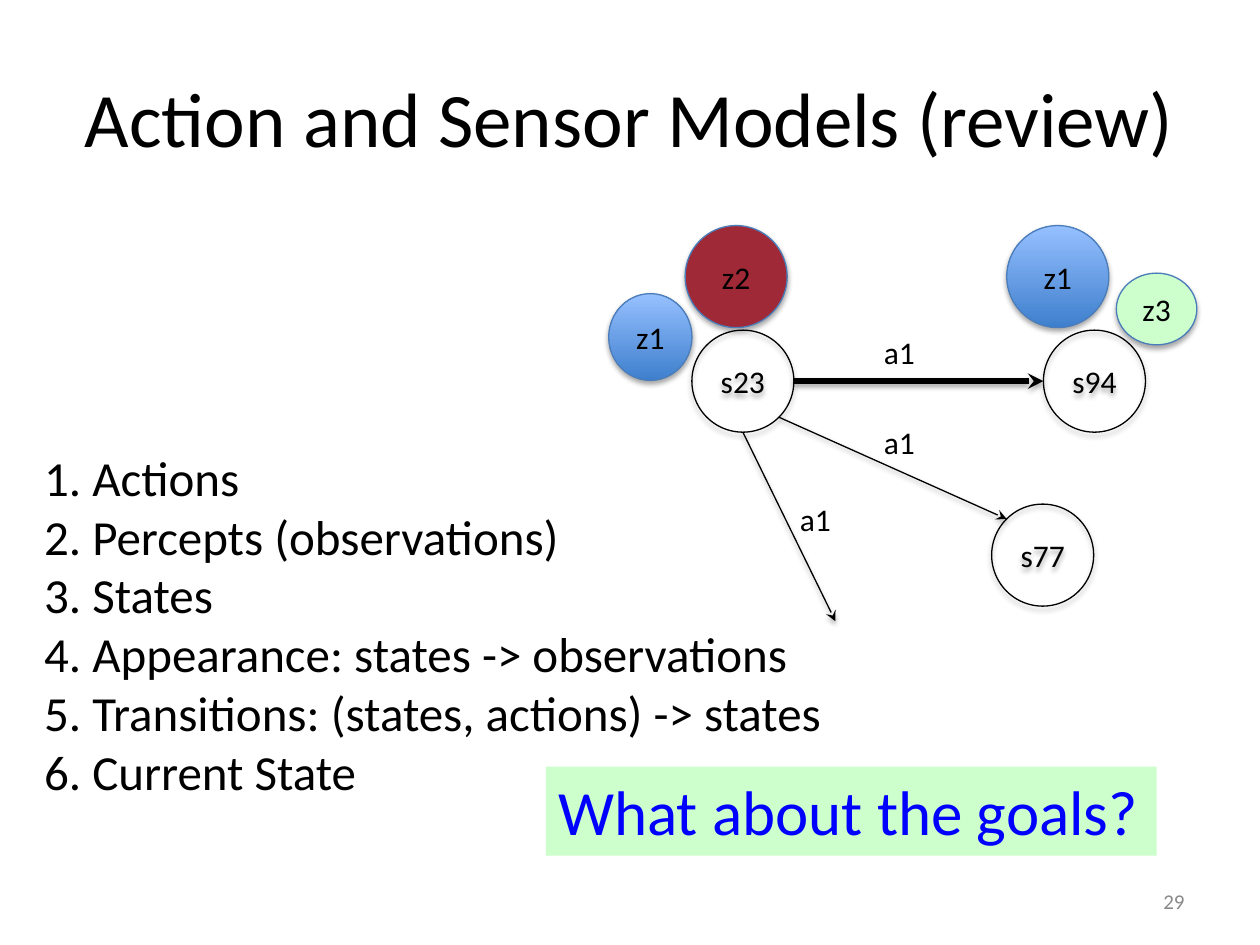
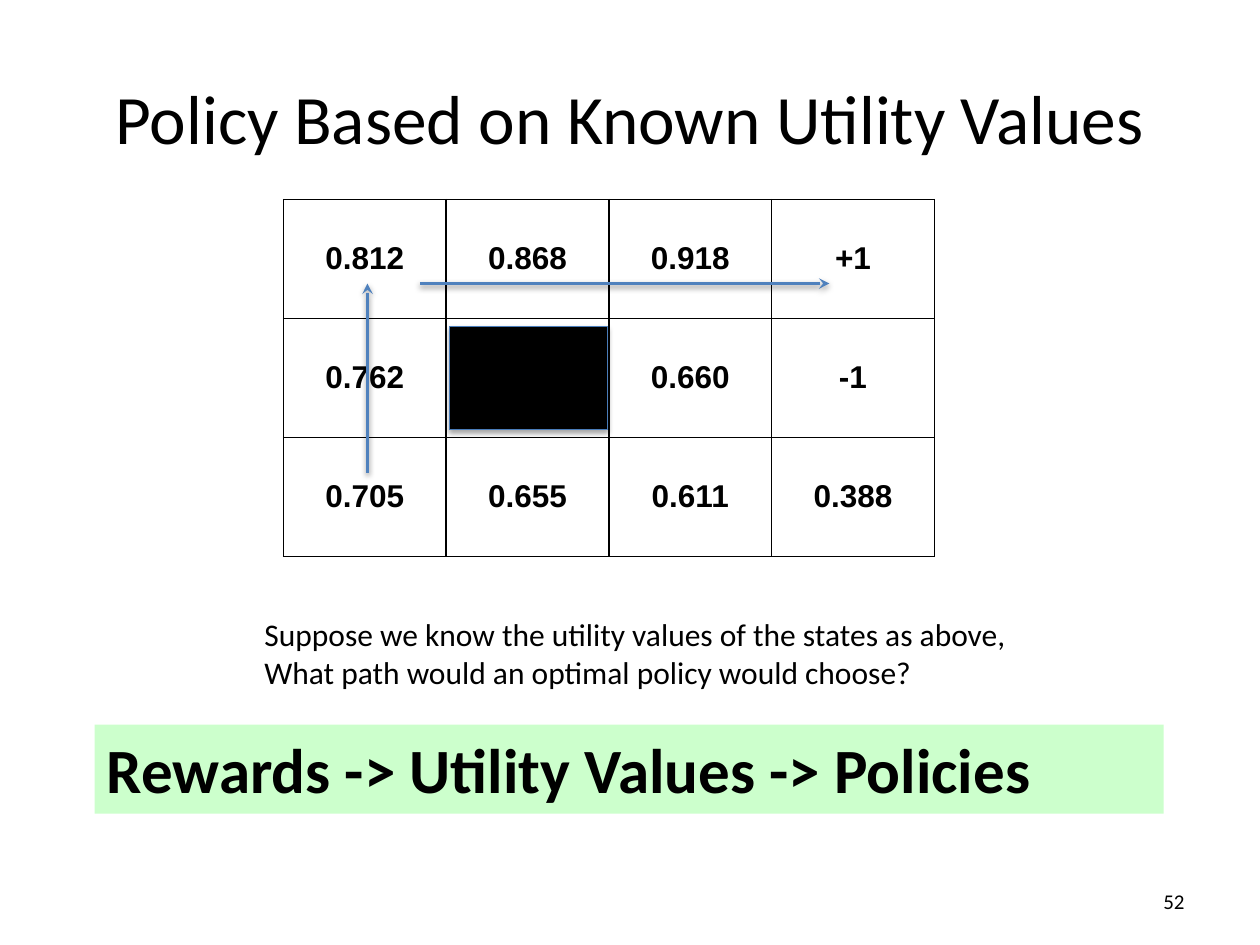
from math import cos, radians, sin

from lxml import etree
from pptx import Presentation
from pptx.dml.color import RGBColor
from pptx.enum import shapes as es, text as et
from pptx.oxml import ns
from pptx.util import Pt

# Shared look
BLACK = RGBColor(0, 0, 0)
WHITE = RGBColor(255, 255, 255)
GRAY = RGBColor(0x88, 0x88, 0x88)
BLUE = RGBColor(0, 0, 255)
MINT = RGBColor(0xCC, 0xFF, 0xCC)
RED = RGBColor(0x9F, 0x29, 0x36)
EDGE = RGBColor(0x4A, 0x7D, 0xBA)
ARROW = RGBColor(0x4F, 0x81, 0xBD)
SKY = (RGBColor(0x3E, 0x7F, 0xCD), RGBColor(0x96, 0xC0, 0xFF))
FONT = "Calibri"
LEFT, CENTER, RIGHT = et.PP_ALIGN.LEFT, et.PP_ALIGN.CENTER, et.PP_ALIGN.RIGHT
TOP, MIDDLE = et.MSO_ANCHOR.TOP, et.MSO_ANCHOR.MIDDLE
OVAL, RECT = es.MSO_SHAPE.OVAL, es.MSO_SHAPE.RECTANGLE
BAND = 51  # height of a highlight band

# Slide 1: state graph, centres of equal circles
SIZE = 58.3
STATES = {"s23": (424.5, 217.8), "s94": (625.4, 217.8), "s77": (595.8, 317.2)}
SIGHTS = [  # text, left, top, width, height, fill
    ("z1", 347.8, 167.8, 47.6, 49.6, SKY),
    ("z1", 575.3, 128.9, SIZE, SIZE, SKY),
    ("z2", 391.5, 128.9, SIZE, SIZE, RED),
    ("z3", 637.9, 156.1, 46, 41, MINT),
]
MOVES = [  # from state, angle, to state or point, angle, width
    ("s23", 0, "s94", 180, 3),
    ("s23", 45, "s77", 225, 0.75),
    ("s23", 90, (477.4, 355), None, 0.75),
]
LABELS = [(498, 187), (498, 238), (450, 282)]
PARTS = [
    "1. Actions",
    "2. Percepts (observations)",
    "3. States",
    "4. Appearance: states -> observations",
    "5. Transitions: (states, actions) -> states",
    "6. Current State",
]

# Slide 2: utility grid
GRID = [
    ["0.812", "0.868", "0.918", "+1"],
    ["0.762", "", "0.660", "-1"],
    ["0.705", "0.655", "0.611", "0.388"],
]
CELL_W, CELL_H = 93, 68
PATH = [((210, 270), (210, 162)), ((240, 162), (474, 162))]
ASK = [
    "Suppose we know the utility values of the states as above,",
    "What path would an optimal policy would choose?",
]


def pts(*nums):
    return [Pt(n) for n in nums]


def add(parent, tag, **attrs):
    return etree.SubElement(parent, ns.qn(tag), {k: str(v) for k, v in attrs.items()})


def style(para, size, color=BLACK, align=LEFT, bold=False, name=FONT):
    para.alignment = align
    font = para.font
    font.name, font.size, font.bold = name, Pt(size), bold
    font.color.rgb = color


def write(shape, lines, size, color=BLACK, align=LEFT, anchor=TOP, bold=False):
    frame = shape.text_frame
    frame.word_wrap = True
    frame.auto_size = et.MSO_AUTO_SIZE.NONE
    frame.vertical_anchor = anchor
    frame.text = "\n".join(lines)
    for para in frame.paragraphs:
        style(para, size, color, align, bold)


def place(shape, *box):
    shape.left, shape.top, shape.width, shape.height = pts(*box)


def note(slide, box, lines, size, color=BLACK, fill=None, **look):
    shape = slide.shapes.add_textbox(*pts(*box))
    write(shape, lines, size, color, **look)
    if fill is not None:
        shape.fill.solid()
        shape.fill.fore_color.rgb = fill


def cast(shape, dist, alpha):
    """Soft shadow straight below the shape."""
    fx = add(shape._element.spPr, "a:effectLst")
    drop = add(fx, "a:outerShdw", blurRad=Pt(3.1), dist=Pt(dist),
               dir=5400000, rotWithShape=0)
    add(add(drop, "a:srgbClr", val=BLACK), "a:alpha", val=alpha * 1000)


def block(slide, kind, box, fill=None, edge=EDGE):
    shape = slide.shapes.add_shape(kind, *pts(*box))
    if fill is None:
        shape.fill.background()
    elif fill is SKY:
        shape.fill.gradient()
        shape.fill.gradient_angle = 90
        for stop, color in zip(shape.fill.gradient_stops, SKY):
            stop.color.rgb = color
    else:
        shape.fill.solid()
        shape.fill.fore_color.rgb = fill
    shape.line.color.rgb = edge
    shape.line.width = Pt(0.75)
    cast(shape, 1.8, 35)
    return shape


def arrow(slide, start, end, color, width):
    line = slide.shapes.add_connector(es.MSO_CONNECTOR.STRAIGHT, *pts(*start, *end))
    line.line.color.rgb = color
    line.line.width = Pt(width)
    add(line.line._get_or_add_ln(), "a:tailEnd", type="stealth")
    cast(line, 1.6, 37)


def rim(state, angle):
    x, y = STATES[state]
    turn = radians(angle)
    return x + SIZE / 2 * cos(turn), y + SIZE / 2 * sin(turn)


def start(deck, layout, title, size, page, shade):
    slide = deck.slides.add_slide(deck.slide_layouts[layout])
    place(slide.shapes.title, 36, 21.6, 648, 90)
    write(slide.shapes.title, [title], size, align=CENTER, anchor=MIDDLE)
    note(slide, (516, 500.5, 168, 28.8), [page], 12, shade, align=RIGHT, anchor=MIDDLE)
    return slide


def models(deck):
    slide = start(deck, 1, "Action and Sensor Models (review)", 44, "29", GRAY)
    # States, sights and moves
    for name, (x, y) in STATES.items():
        box = (x - SIZE / 2, y - SIZE / 2, SIZE, SIZE)
        write(block(slide, OVAL, box, edge=BLACK), [name], 18, align=CENTER, anchor=MIDDLE)
    for name, *box, fill in SIGHTS:
        write(block(slide, OVAL, box, fill), [name], 18, align=CENTER, anchor=MIDDLE)
    for state, out, goal, into, width in MOVES:
        end = goal if into is None else rim(goal, into)
        arrow(slide, rim(state, out), end, BLACK, width)
    for x, y in LABELS:
        note(slide, (x, y, 36, 29), ["a1"], 18)
    # Model parts
    body = slide.placeholders[1]
    place(body, 18, 252, 503, 212)
    body.text_frame.text = "\n".join(PARTS)
    for para in body.text_frame.paragraphs:
        props = para._p.get_or_add_pPr()
        props.set("marL", "0")
        props.set("indent", "0")
        para.space_before = Pt(0)
        add(props, "a:buNone")
        style(para, 28)
    body.text_frame.auto_size = et.MSO_AUTO_SIZE.NONE
    note(slide, (312, 438, 349, BAND), ["What about the goals?"], 36, BLUE, MINT)


def frame(cell):
    props = cell._tc.get_or_add_tcPr()
    for side in "LRTB":
        line = add(props, "a:ln" + side, w=Pt(1))
        add(add(line, "a:solidFill"), "a:srgbClr", val=BLACK)


def policy(deck):
    slide = start(deck, 5, "Policy Based on Known Utility Values", 39.6, "52", BLACK)
    # Utility table
    rows, cols = len(GRID), len(GRID[0])
    box = pts(162, 114, cols * CELL_W, rows * CELL_H)
    table = slide.shapes.add_table(rows, cols, *box).table
    table.first_row = table.horz_banding = False
    for r, row in enumerate(GRID):
        for c, value in enumerate(row):
            cell = table.cell(r, c)
            cell.text = value
            cell.vertical_anchor = MIDDLE
            frame(cell)
            cell.fill.solid()
            cell.fill.fore_color.rgb = WHITE
            style(cell.text_frame.paragraphs[0], 18, align=CENTER, bold=True, name="Arial")
    # Question, best path and answer
    note(slide, (144, 348, 444, BAND), ASK, 18)
    for tail, head in PATH:
        arrow(slide, tail, head, ARROW, 2)
    note(slide, (54, 414, 611, BAND), ["Rewards -> Utility Values -> Policies"], 36,
         fill=MINT, bold=True)
    block(slide, RECT, (257, 186.5, 90, 59), BLACK)


def main():
    deck = Presentation()
    deck.slide_width, deck.slide_height = pts(720, 540)
    models(deck)
    policy(deck)
    deck.save("out.pptx")


if __name__ == "__main__":
    main()
